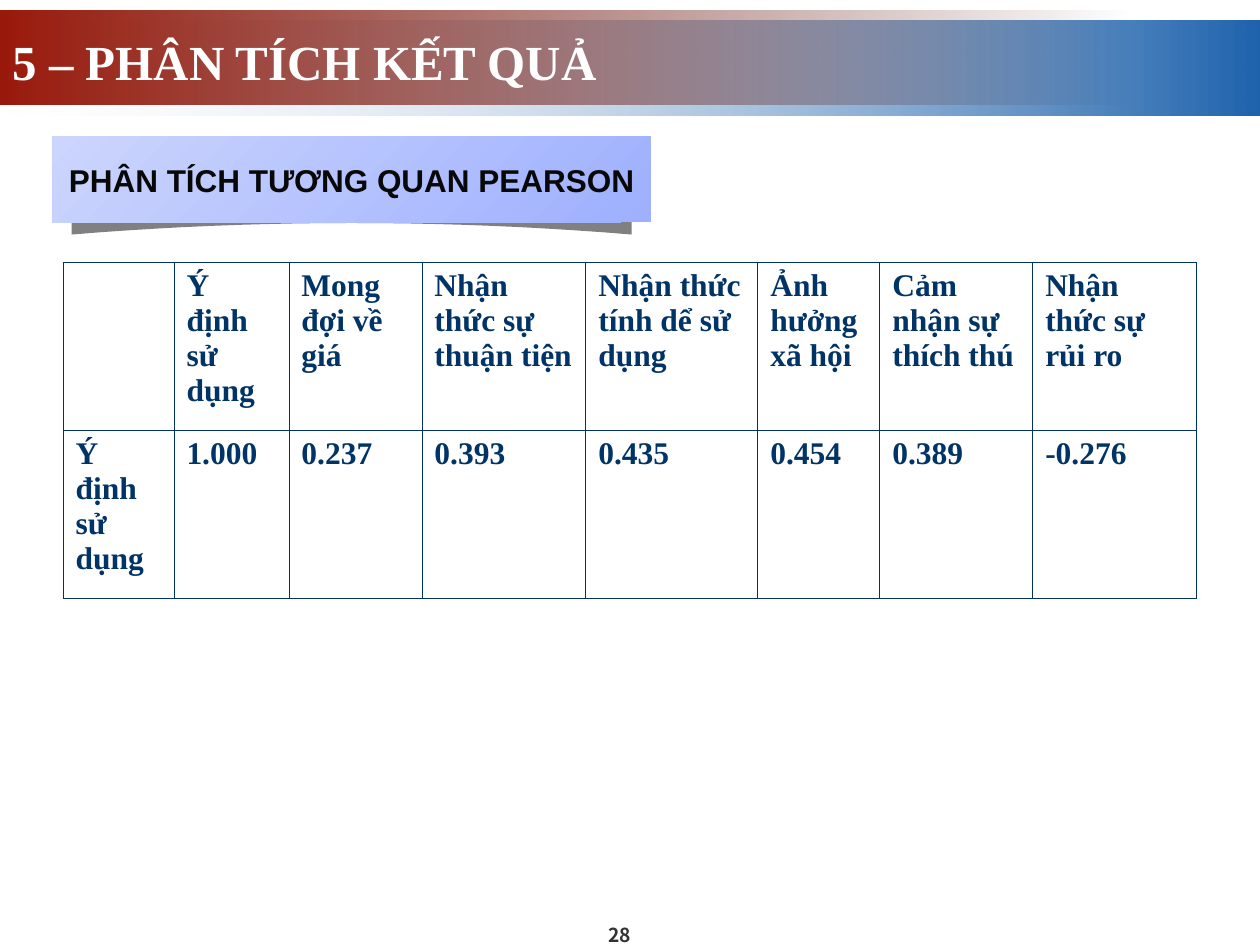
"""Build the Pearson correlation slide with its banner, label and table."""
from lxml import etree
from pptx import Presentation
from pptx import util as u
from pptx.dml import color
from pptx.enum import shapes, text
from pptx.oxml import ns

WHITE = color.RGBColor(0xFF, 0xFF, 0xFF)
BLUE = color.RGBColor(0x1F, 0x63, 0xAD)
PALE_BLUE = color.RGBColor(0xE2, 0xEA, 0xF3)
DARK_RED = color.RGBColor(0x46, 0x0B, 0x05)
RED = color.RGBColor(0x99, 0x19, 0x0B)
PERIWINKLE = color.RGBColor(0x9E, 0xB0, 0xFE)
LAVENDER = color.RGBColor(0xCC, 0xD5, 0xFD)
GRAY = color.RGBColor(0x80, 0x80, 0x80)
CHARCOAL = color.RGBColor(0x33, 0x33, 0x33)
BLACK = color.RGBColor(0x08, 0x08, 0x08)
NAVY = color.RGBColor(0x00, 0x33, 0x66)

HEADINGS = [
    "", "Ý định sử dụng", "Mong đợi về giá", "Nhận thức sự thuận tiện",
    "Nhận thức tính dể sử dụng", "Ảnh hưởng xã hội",
    "Cảm nhận sự thích thú", "Nhận thức sự rủi ro",
]
CORRELATIONS = ["Ý định sử dụng", "1.000", "0.237", "0.393", "0.435",
                "0.454", "0.389", "-0.276"]
COLUMN_WIDTHS = [63.4, 65.7, 76, 93.7, 98.3, 69.7, 87.4, 93.7]


class SlideBuilder:
    """Hold the text styles and the current page."""

    styles = {
        "title": ({"name": "Times New Roman", "size": u.Pt(28), "bold": True}, WHITE),
        "label": ({"name": "Arial", "size": u.Pt(18), "bold": True}, BLACK),
        "table": ({"name": "Times New Roman", "size": u.Pt(18), "bold": True}, NAVY),
        "number": ({"name": "Noto Sans CJK KR", "size": u.Pt(11), "bold": True}, CHARCOAL),
    }

    def __init__(self, page):
        self.page = page

    def fill_text(self, frame, words, style, align=text.PP_ALIGN.LEFT, **layout):
        """Put styled words in a text frame."""
        for name, value in layout.items():
            setattr(frame, name, value)
        para = frame.paragraphs[0]
        para.alignment = align
        span = para.add_run()
        span.text = words
        values, ink = self.styles[style]
        for name, value in values.items():
            setattr(span.font, name, value)
        span.font.color.rgb = ink

    def gradient_box(self, parent, place, colors, angle, clear_stop=None):
        """Add a gradient rectangle, with one stop transparent if asked."""
        box = parent.add_shape(shapes.MSO_SHAPE.RECTANGLE, *map(u.Pt, place))
        box.shadow.inherit = False
        box.line.fill.background()
        box.fill.gradient()
        box.fill.gradient_angle = angle
        for stop, shade in zip(box.fill.gradient_stops, colors):
            stop.color.rgb = shade
        if clear_stop is not None:
            shades = list(box._element.spPr.iter(ns.qn("a:srgbClr")))
            etree.SubElement(shades[clear_stop], ns.qn("a:alpha"), val="0")
        return box

    def title(self, words, place):
        """Move and fill the title placeholder."""
        box = self.page.shapes.title
        for name, value in zip(("left", "top", "width", "height"), place):
            setattr(box, name, u.Pt(value))
        self.fill_text(box.text_frame, words, "title", word_wrap=True,
                       vertical_anchor=text.MSO_ANCHOR.TOP,
                       auto_size=text.MSO_AUTO_SIZE.SHAPE_TO_FIT_TEXT)

    def label(self, words, place):
        """Add a label above its curved shadow."""
        group = self.page.shapes.add_group_shape().shapes
        middle, half, steps = 201, 160, 10
        ratios = [1 - step / steps for step in range(2 * steps + 1)]
        arc = [(middle + half * ratio, 127.4 + 6.6 * ratio ** 2) for ratio in ratios]
        edge = arc + [(middle - half, 116), (middle, 110), (middle + half, 116)]
        points = [(u.Pt(x), u.Pt(y)) for x, y in edge]
        outline = group.build_freeform(*points[0], scale=1.0)
        outline.add_line_segments(points[1:], close=True)
        curve = outline.convert_to_shape()
        curve.shadow.inherit = False
        curve.fill.solid()
        curve.fill.fore_color.rgb = GRAY
        curve.line.fill.background()
        box = self.gradient_box(group, place, (PERIWINKLE, LAVENDER), 135)
        self.fill_text(box.text_frame, words, "label", text.PP_ALIGN.CENTER,
                       word_wrap=False, vertical_anchor=text.MSO_ANCHOR.MIDDLE)

    def number(self, words, place):
        """Add the page number."""
        frame = self.page.shapes.add_textbox(*map(u.Pt, place)).text_frame
        self.fill_text(frame, words, "number", text.PP_ALIGN.CENTER, word_wrap=False,
                       vertical_anchor=text.MSO_ANCHOR.MIDDLE, margin_left=0,
                       margin_right=0, margin_top=0, margin_bottom=0)

    def table(self, rows, widths, left, top, row_height):
        """Add a plain table with thin borders."""
        size = map(u.Pt, (left, top, sum(widths), row_height * len(rows)))
        grid = self.page.shapes.add_table(len(rows), len(widths), *size).table
        grid.first_row = grid.horz_banding = False
        for column, width in zip(grid.columns, widths):
            column.width = u.Pt(width)
        for row, words in zip(grid.rows, rows):
            row.height = u.Pt(row_height)
            for cell, word in zip(row.cells, words):
                cell.fill.background()
                self.border(cell)
                if word:
                    self.fill_text(cell.text_frame, word, "table")

    def border(self, cell):
        """Draw the four sides of a cell."""
        properties = cell._tc.get_or_add_tcPr()
        for index, side in enumerate("LRTB"):
            line = etree.Element(ns.qn(f"a:ln{side}"), w=str(u.Pt(0.45)))
            fill = etree.SubElement(line, ns.qn("a:solidFill"))
            etree.SubElement(fill, ns.qn("a:srgbClr"), val=str(NAVY))
            properties.insert(index, line)


def main():
    """Lay out the slide and save the deck."""
    deck = Presentation()
    deck.slide_width, deck.slide_height = u.Pt(720), u.Pt(540)
    page = deck.slides.add_slide(deck.slide_layouts[5])
    builder = SlideBuilder(page)
    title = page.shapes.title._element
    builder.gradient_box(page.shapes, (0, 12, 720, 54), (BLUE, PALE_BLUE), 180, 1)
    builder.gradient_box(page.shapes, (0, 6, 648, 54), (DARK_RED, RED), 180, 0)
    builder.number("28", (312, 528.5, 84, 11.5))
    title.getparent().append(title)
    builder.title("5 – PHÂN TÍCH KẾT QUẢ", (0, 14.4, 720, 41))
    builder.label("PHÂN TÍCH TƯƠNG QUAN PEARSON", (30, 78, 342, 49))
    builder.table([HEADINGS, CORRELATIONS], COLUMN_WIDTHS, 36, 150, 96)
    deck.save("out.pptx")


if __name__ == "__main__":
    main()
